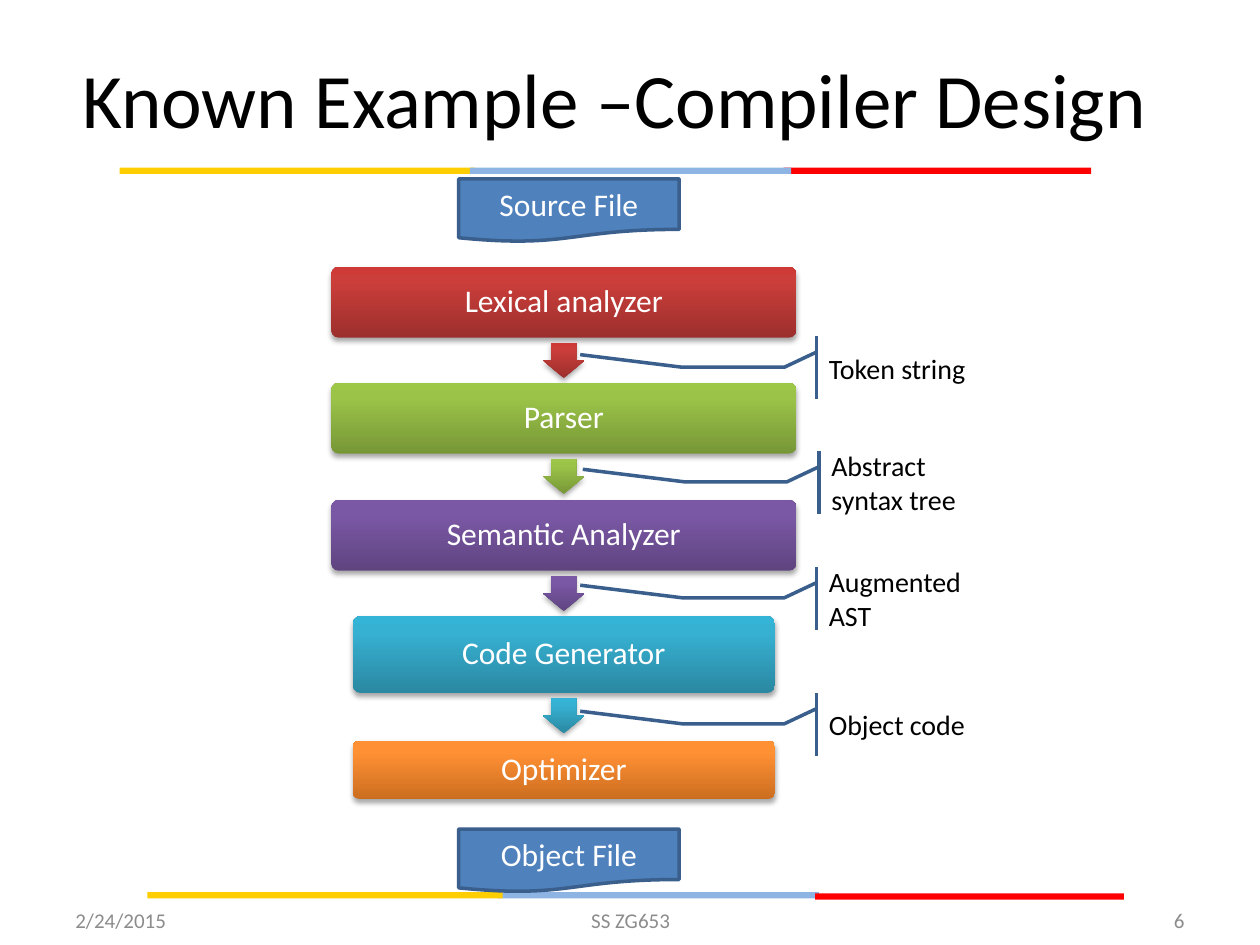
"""Builds the compiler design slide: analysis stages between source and object file."""
from copy import deepcopy

from lxml import etree
from pptx import Presentation
from pptx.dml.color import RGBColor
from pptx.enum.shapes import MSO_SHAPE
from pptx.enum.text import MSO_ANCHOR, PP_ALIGN
from pptx.oxml.ns import qn
from pptx.util import Inches, Pt

RECTANGLE, ROUNDED = MSO_SHAPE.RECTANGLE, MSO_SHAPE.ROUNDED_RECTANGLE
ARROW, DOCUMENT = MSO_SHAPE.DOWN_ARROW, MSO_SHAPE.FLOWCHART_DOCUMENT
CALLOUT = MSO_SHAPE.LINE_CALLOUT_3_ACCENT_BAR
MIDDLE = MSO_ANCHOR.MIDDLE
LEFT, CENTER, RIGHT = PP_ALIGN.LEFT, PP_ALIGN.CENTER, PP_ALIGN.RIGHT

BLACK = RGBColor(0x00, 0x00, 0x00)
WHITE = RGBColor(0xFF, 0xFF, 0xFF)
GRAY = RGBColor(0x8C, 0x8C, 0x8C)
YELLOW = RGBColor(0xFF, 0xCE, 0x00)
SKY = RGBColor(0x8E, 0xB4, 0xE3)
RED = RGBColor(0xFF, 0x00, 0x00)
BLUE = RGBColor(0x4F, 0x81, 0xBD)
NAVY = RGBColor(0x3A, 0x5F, 0x8C)
BRICK = [RGBColor(0x9C, 0x2F, 0x2D), RGBColor(0xCB, 0x3E, 0x3A), RGBColor(0xCE, 0x3B, 0x37)]
GREEN = [RGBColor(0x77, 0x97, 0x37), RGBColor(0x9B, 0xC3, 0x48), RGBColor(0x9D, 0xC7, 0x46)]
PURPLE = [RGBColor(0x5F, 0x44, 0x80), RGBColor(0x7B, 0x58, 0xA6), RGBColor(0x7C, 0x57, 0xA8)]
TEAL = [RGBColor(0x2A, 0x88, 0xA2), RGBColor(0x37, 0xB1, 0xD2), RGBColor(0x34, 0xB4, 0xD6)]
ORANGE = [RGBColor(0xCC, 0x6E, 0x20), RGBColor(0xFF, 0x90, 0x34), RGBColor(0xFF, 0x91, 0x36)]

deck = Presentation()
deck.slide_width, deck.slide_height = Inches(10), Inches(7.5)
COL, ROW = deck.slide_width / 100, deck.slide_height / 75
slide = deck.slides.add_slide(deck.slide_layouts[5])
shapes = slide.shapes


def cells(left, top, width, height):
    return int(left * COL), int(top * ROW), int(width * COL), int(height * ROW)


def write(holder, text, size, color, align):
    frame = holder.text_frame
    frame.text = text
    frame.word_wrap = True
    frame.vertical_anchor = MIDDLE
    line = frame.paragraphs[0]
    line.alignment = align
    font = line.runs[0].font
    font.name, font.size, font.color.rgb = "Calibri", Pt(size), color


title = shapes.title
title.left, title.top, title.width, title.height = cells(3.8, 2.2, 90, 11.1)
write(title, "Known Example –Compiler Design", 44, BLACK, CENTER)

for left, top, width, color in [
    (62.2, 13.3, 24.4, RED), (9.5, 13.3, 28.2, YELLOW), (37.3, 13.3, 25.5, SKY),
    (39.5, 70.8, 25.5, SKY), (64.7, 70.9, 24.5, RED), (11.7, 70.8, 28.2, YELLOW),
]:
    stripe = shapes.add_shape(RECTANGLE, *cells(left, top, width, 0.5))
    stripe.shadow.inherit = False
    stripe.fill.solid()
    stripe.fill.fore_color.rgb = color
    stripe.line.fill.background()

for text, left, width, align in [
    ("2/24/2015", 5, 23.3, LEFT), ("SS ZG653", 34.2, 31.7, CENTER), ("6", 71.7, 23.3, RIGHT),
]:
    write(shapes.add_textbox(*cells(left, 71, width, 4)), text, 12, GRAY, align)

AXIS = 44.75
stages = [
    ("Lexical analyzer", 21.2, 36.9, 5.6, BRICK),
    ("Parser", 30.4, 36.9, 5.6, GREEN),
    ("Semantic Analyzer", 39.7, 36.9, 5.6, PURPLE),
    ("Code Generator", 48.9, 33.5, 6.1, TEAL),
    ("Optimizer", 58.8, 33.5, 4.6, ORANGE),
]
for name, top, width, height, shades in stages:
    stage = shapes.add_shape(ROUNDED, *cells(AXIS - width / 2, top, width, height))
    stage.adjustments[0] = 0.1
    write(stage, name, 18, WHITE, CENTER)
    stage.text_frame.paragraphs[0].line_spacing = 0.9
    parts = [stage]
    if name != stages[-1][0]:
        arrow = shapes.add_shape(ARROW, *cells(AXIS - 1.65, top + height + 0.4, 3.3, 2.8))
        arrow.adjustments[0], arrow.adjustments[1] = 0.6, 0.5
        parts.append(arrow)
    for part in parts:
        part.line.fill.background()
        part.fill.gradient()
        part.fill.gradient_angle = 90
        stop_list = part._element.spPr.find(".//" + qn("a:gsLst"))
        stop_list.append(deepcopy(stop_list[-1]))
        for stop, position, shade in zip(part.fill.gradient_stops, (0, 0.8, 1), shades):
            stop.position, stop.color.rgb = position, shade
        part.shadow.inherit = False
        effects = part._element.spPr.find(qn("a:effectLst"))
        shadow = etree.SubElement(effects, qn("a:outerShdw"), blurRad=str(Pt(3.1)),
                                  dist=str(Pt(1.8)), dir="5400000", rotWithShape="0")
        tint = etree.SubElement(shadow, qn("a:srgbClr"), val="000000")
        etree.SubElement(tint, qn("a:alpha"), val="35000")

for name, top in [("Source File", 14.2), ("Object File", 65.8)]:
    document = shapes.add_shape(DOCUMENT, *cells(36.4, top, 17.5, 5))
    document.shadow.inherit = False
    document.fill.solid()
    document.fill.fore_color.rgb = BLUE
    document.line.color.rgb, document.line.width = NAVY, Pt(2)
    write(document, name, 18, WHITE, CENTER)

LEADER = (0.25, 0, 0.49, -0.17, 0.49, -0.71, 0.29, -1.25)
for product, left, top in [
    ("Token string", 64.8, 26.7), ("Abstract syntax tree", 65, 35.8),
    ("Augmented AST", 64.8, 45), ("Object code", 64.8, 55),
]:
    callout = shapes.add_shape(CALLOUT, *cells(left, top, 15, 5))
    for index, bend in enumerate(LEADER):
        callout.adjustments[index] = bend
    callout.shadow.inherit = False
    callout.fill.background()
    callout.line.color.rgb, callout.line.width = NAVY, Pt(2)
    write(callout, product, 16, BLACK, LEFT)

deck.save("out.pptx")
